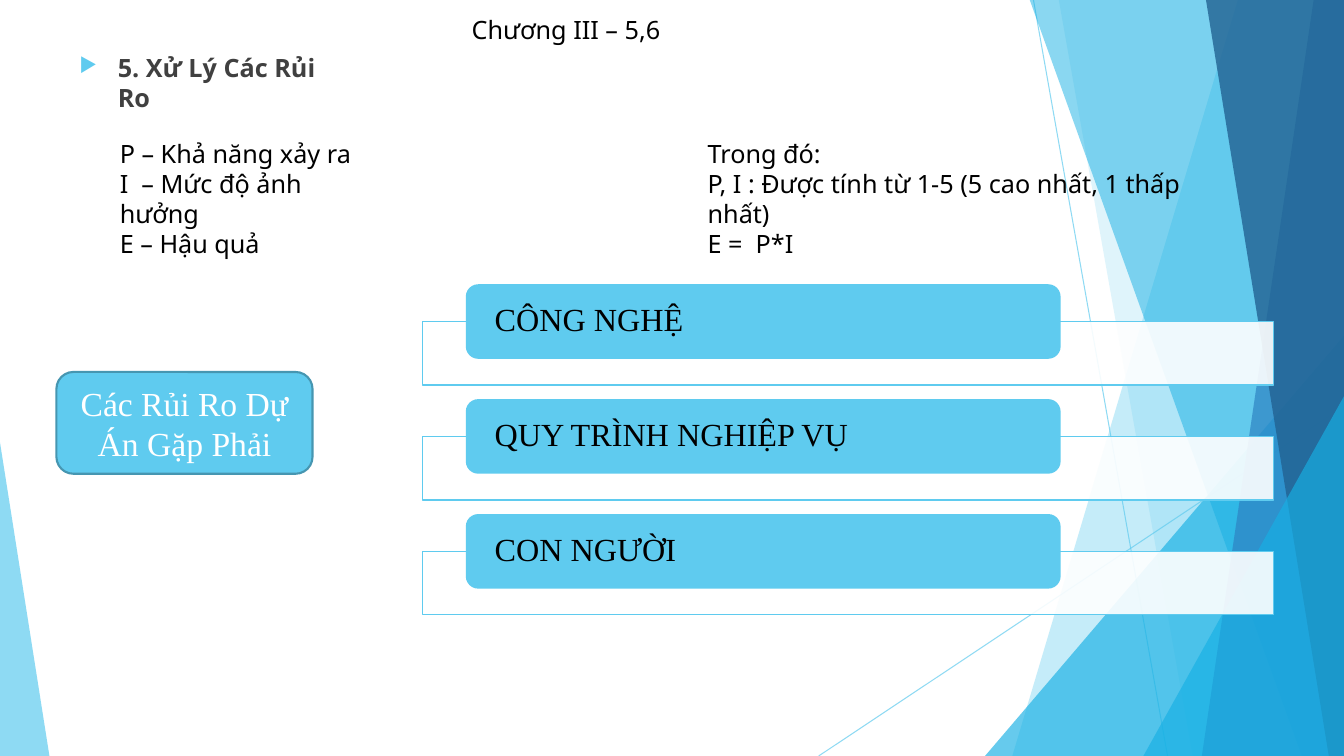
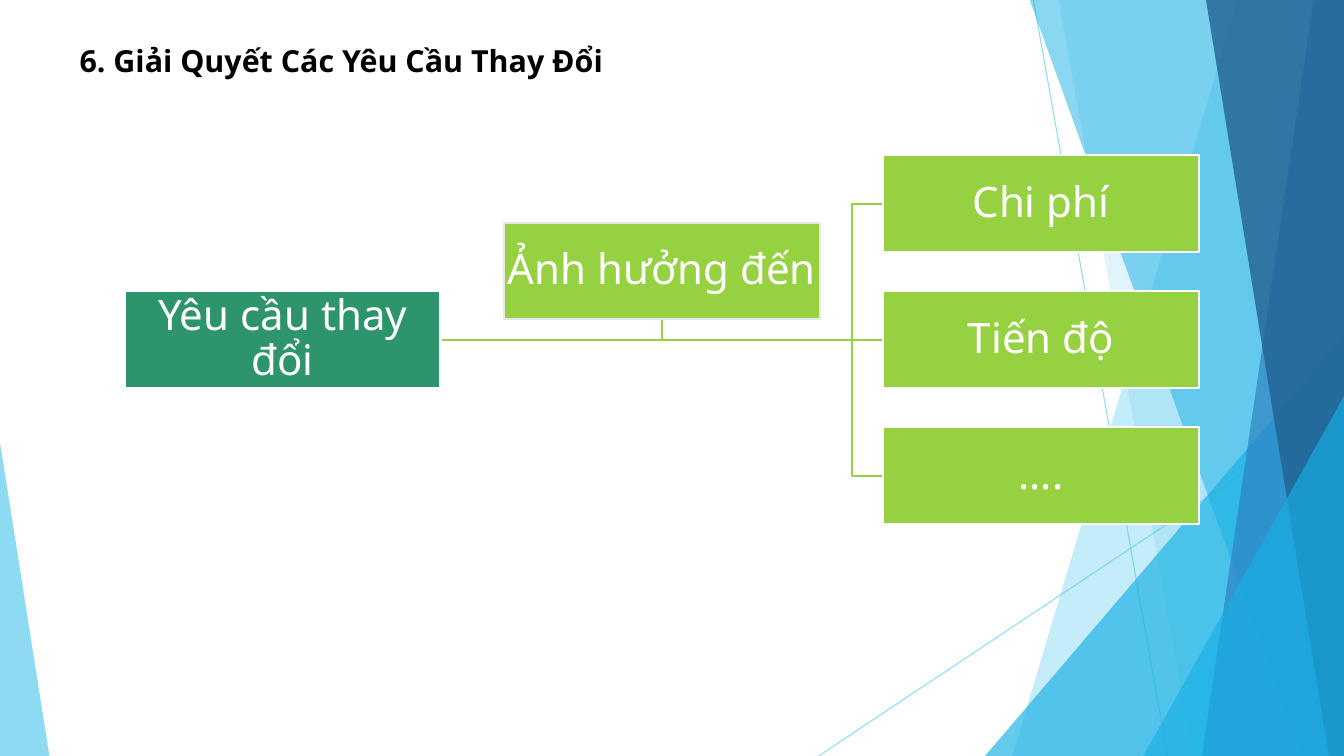
from lxml import etree
from pptx import Presentation
from pptx.dml.color import RGBColor
from pptx.enum.shapes import MSO_CONNECTOR, MSO_SHAPE
from pptx.enum.text import MSO_ANCHOR, PP_ALIGN
from pptx.oxml.ns import qn
from pptx.util import Inches, Pt


class Theme:
    sky, azure, blue, navy = "5FCBEF", "17B0E4", "2E83C3", "226292"
    sky_edge, green, lime = "4696B1", "2E946B", "96D141"
    white, black, grey, pale = "FFFFFF", "000000", "404040", "E7E7E7"
    sans, serif = "Noto Sans", "Times New Roman"
    body, heading, bar, label, node = 18, 21.7, 23, 24, 30
    hairline, rule, outline = 0.75, 1, 1.5


# Content
CHAPTER = "Chương III – 5,6"
RISK_TITLE = "5. Xử Lý Các Rủi Ro"
LEGEND = ["P – Khả năng xảy ra", "I  – Mức độ ảnh hưởng", "E – Hậu quả"]
FORMULA = ["Trong đó:", "P, I : Được tính từ 1-5 (5 cao nhất, 1 thấp nhất)", "E =  P*I"]
RISK_LABEL = "Các Rủi Ro Dự Án Gặp Phải"
RISKS = ["CÔNG NGHỆ", "QUY TRÌNH NGHIỆP VỤ", "CON NGƯỜI"]
CHANGE_TITLE = "6. Giải Quyết Các Yêu Cầu Thay Đổi"
REQUEST, AFFECTS = "Yêu cầu thay đổi", "Ảnh hưởng đến"
IMPACTS = ["Chi phí", "Tiến độ", "...."]

# Backdrop: slanted bands (top x, bottom x) run to the right edge;
# triangles are (left, top, width, apex position)
WIDTH, HEIGHT = 13.33, 7.5
RAYS = [(10.25, 0, 11.58, HEIGHT), (WIDTH, 4.03, 8.12, HEIGHT)]
BACKDROP = [
    ("band", (12.28, 10.04), Theme.sky, 36),
    ("band", (10.5, 11.83), Theme.sky, 20),
    ("triangle", (9.77, 3.33, 3.56, 1), Theme.azure, 66),
    ("band", (10.21, 12.91), Theme.azure, 50),
    ("band", (13.03, 11.92), Theme.blue, 70),
    ("band", (11.96, 13.18), Theme.navy, 80),
    ("triangle", (11.34, 3.93, 1.99, 1), Theme.azure, 66),
    ("triangle", (0, 4.39, 0.49, 0), Theme.sky, 70),
]


def rgb(value):
    return RGBColor.from_string(value)


def set_opacity(shape, percent):
    for colour in shape.element.xpath("./p:spPr//a:srgbClr"):
        etree.SubElement(colour, qn("a:alpha"), val=str(percent * 1000))


def paint(shape, fill=None, line=None, weight=Theme.outline, opacity=None):
    shape.shadow.inherit = False
    if fill:
        shape.fill.solid()
        shape.fill.fore_color.rgb = rgb(fill)
    else:
        shape.fill.background()
    if opacity:
        set_opacity(shape, opacity)
    if line:
        shape.line.color.rgb = rgb(line)
        shape.line.width = Pt(weight)
    else:
        shape.line.fill.background()
    return shape


def add_box(page, kind, area, **style):
    return paint(page.shapes.add_shape(kind, *map(Inches, area)), **style)


def add_path(page, points, closed=False, **style):
    corners = [(Inches(x), Inches(y)) for x, y in points]
    builder = page.shapes.build_freeform(*corners[0], scale=1.0)
    builder.add_line_segments(corners[1:], close=closed)
    return paint(builder.convert_to_shape(), **style)


def add_line(page, ends, colour, weight, opacity=None):
    line = page.shapes.add_connector(MSO_CONNECTOR.STRAIGHT, *map(Inches, ends))
    line.line.color.rgb = rgb(colour)
    line.line.width = Pt(weight)
    if opacity:
        set_opacity(line, opacity)
    etree.SubElement(line.element.spPr, qn("a:effectLst"))


def add_bullet(para):
    props = para._p.get_or_add_pPr()
    props.set("marL", str(Inches(0.38)))
    props.set("indent", str(-Inches(0.38)))
    colour = etree.SubElement(props, qn("a:buClr"))
    etree.SubElement(colour, qn("a:srgbClr"), val=Theme.sky)
    etree.SubElement(props, qn("a:buSzPct"), val="80000")
    etree.SubElement(props, qn("a:buChar"), char="▶")


def write(box, lines, size=Theme.body, font=Theme.sans, colour=Theme.black, bold=False,
          align=PP_ALIGN.LEFT, anchor=MSO_ANCHOR.TOP, insets=(0.1, 0.05),
          spacing=None, before=None, bullet=False):
    frame = box.text_frame
    frame.word_wrap = True
    frame.vertical_anchor = anchor
    frame.margin_left = frame.margin_right = Inches(insets[0])
    frame.margin_top = frame.margin_bottom = Inches(insets[1])
    for index, line in enumerate([lines] if isinstance(lines, str) else lines):
        para = frame.add_paragraph() if index else frame.paragraphs[0]
        para.alignment = align
        if spacing:
            para.line_spacing = spacing
        if before:
            para.space_before = Pt(before)
        if bullet:
            add_bullet(para)
        span = para.add_run()
        span.text = line
        span.font.name, span.font.size, span.font.bold = font, Pt(size), bold
        span.font.color.rgb = rgb(colour)


def add_text(page, area, lines, **style):
    write(page.shapes.add_textbox(*map(Inches, area)), lines, **style)


def add_page(deck):
    page = deck.slides.add_slide(deck.slide_layouts[6])
    for ends in RAYS:
        add_line(page, ends, Theme.sky, Theme.hairline, opacity=70)
    for kind, place, colour, opacity in BACKDROP:
        if kind == "band":
            top, bottom = place
            points = [(top, -0.01), (WIDTH, -0.01), (WIDTH, HEIGHT), (bottom, HEIGHT)]
            add_path(page, points, closed=True, fill=colour, opacity=opacity)
        else:
            left, top, width, apex = place
            triangle = add_box(page, MSO_SHAPE.ISOSCELES_TRIANGLE,
                               (left, top, width, HEIGHT - top), fill=colour, opacity=opacity)
            triangle.adjustments[0] = apex
    return page


def build_risks(page):
    add_text(page, (0.69, 0.47, 2.87, 0.57), RISK_TITLE, colour=Theme.grey, bold=True,
             before=10, bullet=True)
    add_text(page, (1.09, 1.32, 2.73, 1.01), LEGEND)
    add_text(page, (6.92, 1.32, 5.19, 1.01), FORMULA)
    label = add_box(page, MSO_SHAPE.ROUNDED_RECTANGLE, (0.56, 3.69, 2.54, 1.01),
                    fill=Theme.sky, line=Theme.sky_edge)
    write(label, RISK_LABEL, size=Theme.label, font=Theme.serif, colour=Theme.white,
          align=PP_ALIGN.CENTER, anchor=MSO_ANCHOR.MIDDLE)
    # Each risk is a tab over an empty strip
    for index, risk in enumerate(RISKS):
        top = 2.82 + 1.14 * index
        add_box(page, MSO_SHAPE.RECTANGLE, (4.19, top + 0.37, 8.44, 0.63),
                fill=Theme.white, opacity=90, line=Theme.sky, weight=Theme.rule)
        tab = add_box(page, MSO_SHAPE.ROUNDED_RECTANGLE, (4.62, top, 5.9, 0.74), fill=Theme.sky)
        write(tab, risk, size=Theme.bar, font=Theme.serif, anchor=MSO_ANCHOR.MIDDLE,
              insets=(0.25, 0), spacing=0.9)
    add_text(page, (4.58, 0.09, 5.19, 0.4), CHAPTER)


def build_changes(page):
    add_text(page, (0.69, 0.47, 5.42, 0.57), CHANGE_TITLE, size=Theme.heading, bold=True,
             spacing=0.7, before=10)
    node_w, node_h, step = 3.13, 0.96, 1.35
    request_x, affects_x, impact_x = 1.24, 5, 8.76
    middle_y, affects_y = 2.89, 2.21
    axis, start, bend = middle_y + node_h / 2, request_x + node_w, 8.45
    impact_tops = [middle_y + step * (index - 1) for index in range(len(IMPACTS))]

    # Links
    stem = affects_x + node_w / 2
    add_path(page, [(start, axis), (stem, axis), (stem, affects_y + node_h)], line=Theme.lime)
    add_line(page, (start, axis, impact_x, axis), Theme.lime, Theme.outline)
    for top in (impact_tops[0], impact_tops[-1]):
        level = top + node_h / 2
        add_path(page, [(start, axis), (bend, axis), (bend, level), (impact_x, level)],
                 line=Theme.lime)

    # Nodes
    nodes = [(REQUEST, request_x, middle_y, Theme.green, Theme.white)]
    nodes += [(impact, impact_x, top, Theme.lime, Theme.white)
              for impact, top in zip(IMPACTS, impact_tops)]
    nodes.append((AFFECTS, affects_x, affects_y, Theme.lime, Theme.pale))
    for name, left, top, fill, edge in nodes:
        node = add_box(page, MSO_SHAPE.RECTANGLE, (left, top, node_w, node_h),
                       fill=fill, line=edge)
        write(node, name, size=Theme.node, colour=Theme.white, align=PP_ALIGN.CENTER,
              anchor=MSO_ANCHOR.MIDDLE, insets=(0.02, 0.02), spacing=0.9)


deck = Presentation()
deck.slide_width, deck.slide_height = Inches(WIDTH), Inches(HEIGHT)
build_risks(add_page(deck))
build_changes(add_page(deck))
deck.save("out.pptx")
